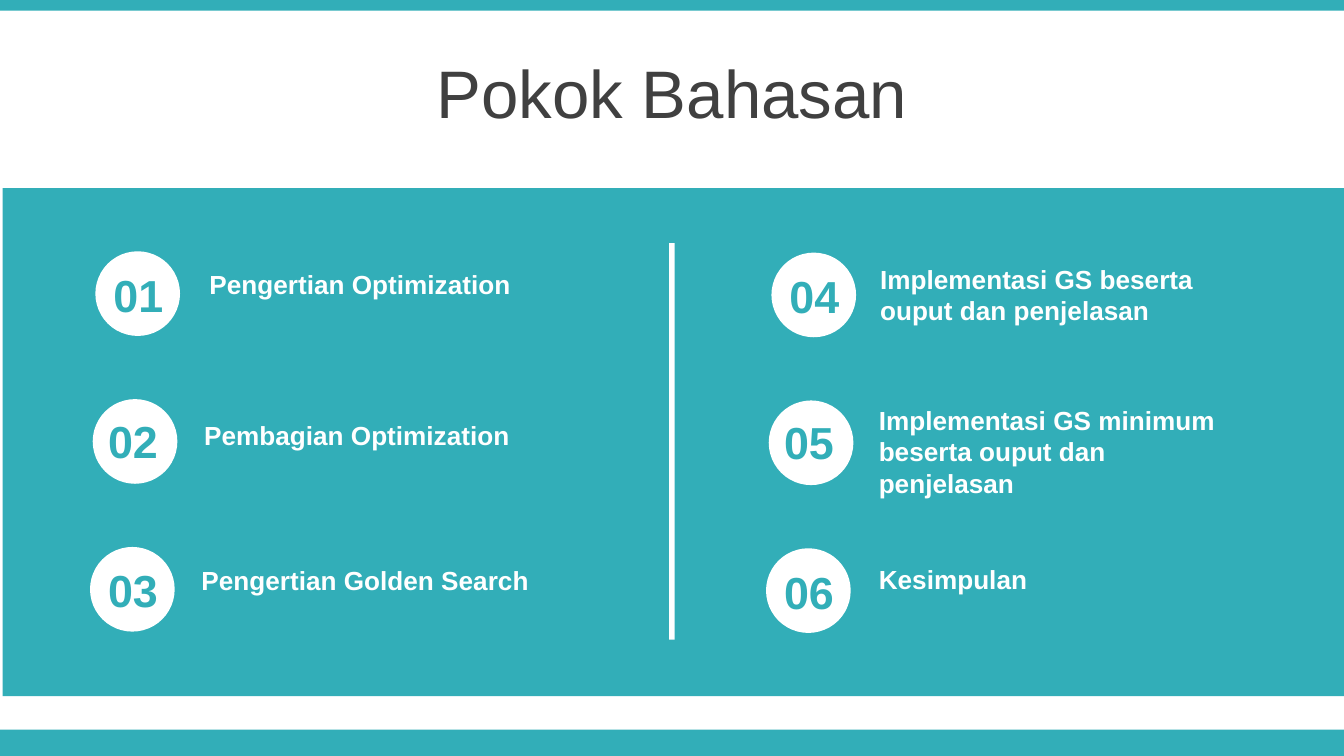
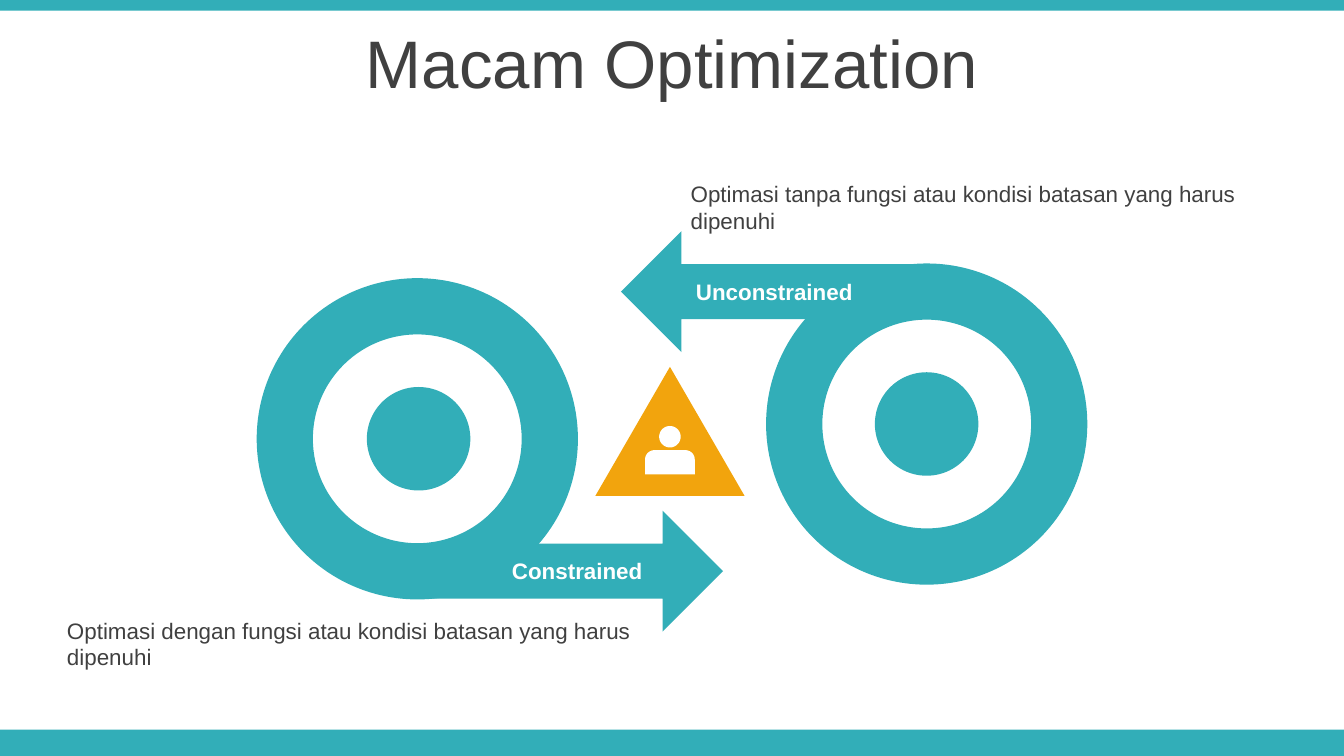
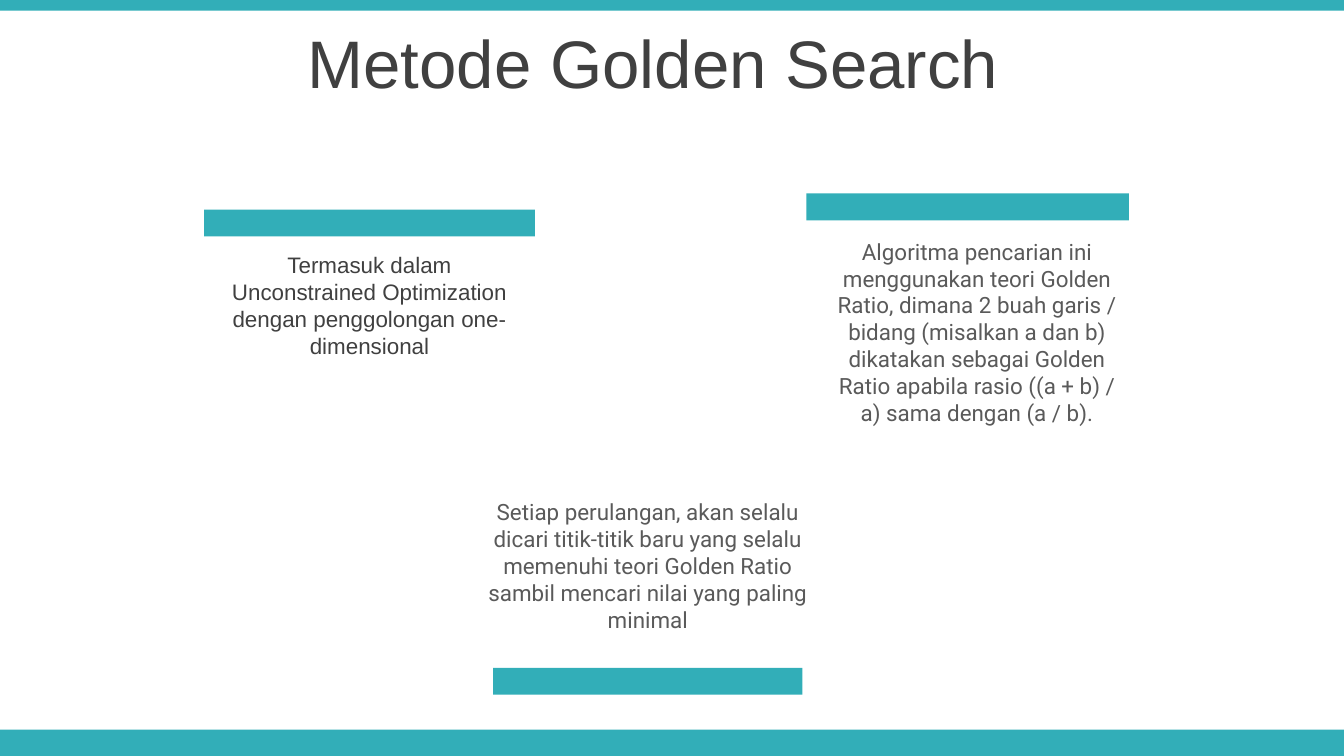
from dataclasses import dataclass
from math import cos, radians, sin

from pptx import Presentation
from pptx.dml.color import RGBColor
from pptx.enum.shapes import MSO_SHAPE
from pptx.enum.text import MSO_ANCHOR, MSO_AUTO_SIZE, PP_ALIGN
from pptx.util import Inches, Pt

RECTANGLE = MSO_SHAPE.RECTANGLE
OVAL = MSO_SHAPE.OVAL
DONUT = MSO_SHAPE.DONUT
RIGHT_ARROW = MSO_SHAPE.RIGHT_ARROW
TRIANGLE = MSO_SHAPE.ISOSCELES_TRIANGLE
LEFT, CENTER, RIGHT = PP_ALIGN.LEFT, PP_ALIGN.CENTER, PP_ALIGN.RIGHT
MIDDLE = MSO_ANCHOR.MIDDLE
FIT_SHAPE, NO_FIT = MSO_AUTO_SIZE.SHAPE_TO_FIT_TEXT, MSO_AUTO_SIZE.NONE

COLORS = {
    "teal": "32AEB8",
    "orange": "F2A40D",
    "white": "FFFFFF",
    "dark": "404040",
    "gray": "5A5A5A",
}
BODY_FONT = "Arial"
CARD_FONT = "Roboto"
TITLE_ONLY = 5


@dataclass(frozen=True)
class Area:
    left: float
    top: float
    width: float
    height: float

    def lengths(self) -> tuple:
        return tuple(Inches(v) for v in (self.left, self.top, self.width, self.height))


@dataclass(frozen=True)
class Style:
    size: float
    color: str
    bold: bool = False
    align: PP_ALIGN = LEFT
    font: str = BODY_FONT


@dataclass(frozen=True)
class Topic:
    text: str
    area: Area


@dataclass(frozen=True)
class Target:
    ring: Area
    arrow: Area
    core: Area
    rotation: int


@dataclass(frozen=True)
class Card:
    text: str
    text_area: Area
    bar: Area
    style: Style


TITLE = Style(36, "dark", align=CENTER)
TOPIC = Style(14, "white", bold=True)
NUMBER = Style(24, "teal", bold=True, align=CENTER)
NOTE = Style(12, "dark")
ARROW_LEFT = Style(12, "white", bold=True)
ARROW_RIGHT = Style(12, "white", bold=True, align=RIGHT)
CARD_DARK = Style(12, "dark", align=CENTER)
CARD_GRAY = Style(12, "gray", align=CENTER, font=CARD_FONT)


# Shared drawing
def paint(shape, color: str) -> None:
    shape.shadow.inherit = False
    shape.fill.solid()
    shape.fill.fore_color.rgb = RGBColor.from_string(COLORS[color])
    shape.line.fill.background()


def add_shape(shapes, kind: MSO_SHAPE, area: Area, color: str,
              adjustments: tuple = (), rotation: float = 0):
    shape = shapes.add_shape(kind, *area.lengths())
    for index, value in enumerate(adjustments):
        shape.adjustments[index] = value
    shape.rotation = rotation
    paint(shape, color)
    return shape


def write(para, text: str, style: Style) -> None:
    para.alignment = style.align
    span = para.add_run()
    span.text = text
    span.font.name = style.font
    span.font.size = Pt(style.size)
    span.font.bold = style.bold
    span.font.color.rgb = RGBColor.from_string(COLORS[style.color])


def add_text(shapes, text: str, area: Area, style: Style) -> None:
    frame = shapes.add_textbox(*area.lengths()).text_frame
    frame.word_wrap = True
    frame.auto_size = FIT_SHAPE
    write(frame.paragraphs[0], text, style)


def add_page(deck, title: str, top: float, right_inset: float = 0.1):
    page = deck.slides.add_slide(deck.slide_layouts[TITLE_ONLY])
    box = page.shapes.title
    box.left, box.top, box.width, box.height = Area(0, top, 10, 0.63).lengths()
    frame = box.text_frame
    frame.auto_size = NO_FIT
    frame.vertical_anchor = MIDDLE
    frame.margin_right = Inches(right_inset)
    para = frame.paragraphs[0]
    para.space_before = Pt(7.2)
    write(para, title, TITLE)
    return page


def add_bands(page) -> None:
    """Draw the edge bands and hand them to the layout, so every slide shows them."""
    layout_tree = page.slide_layout.shapes.element
    for number, area in enumerate((Area(0, 5.43, 10, 0.2), Area(0, 0, 10, 0.08))):
        band = add_shape(page.shapes, RECTANGLE, area, "teal")
        band.element.nvSpPr.cNvPr.set("id", str(100 + number))
        layout_tree.append(band.element)


# Slide 1: numbered topics in two columns
TOPICS = (
    Topic("Pengertian Optimization", Area(1.46, 1.95, 2.91, 0.34)),
    Topic("Pembagian Optimization", Area(1.42, 3.07, 2.91, 0.34)),
    Topic("Pengertian Golden Search", Area(1.4, 4.15, 2.91, 0.34)),
    Topic("Implementasi GS beserta ouput dan penjelasan", Area(6.45, 1.91, 2.91, 0.57)),
    Topic("Implementasi GS minimum beserta ouput dan penjelasan",
          Area(6.44, 2.96, 2.91, 1.04)),
    Topic("Kesimpulan", Area(6.44, 4.14, 2.91, 0.34)),
)
NUMBER_SPOTS = ((0.68, 1.94), (0.64, 3.03), (0.64, 4.14))
COLUMN_STEP = 5.03


def build_topics(deck):
    page = add_page(deck, "Pokok Bahasan", 0.37)
    shapes = page.shapes
    add_shape(shapes, RECTANGLE, Area(0.02, 1.4, 9.98, 3.78), "teal")
    add_shape(shapes, RECTANGLE, Area(4.98, 1.81, 0.04, 2.95), "white")
    for index, topic in enumerate(TOPICS):
        column, row = divmod(index, len(NUMBER_SPOTS))
        shift, drop = COLUMN_STEP * column, 0.01 * column
        disc = Area(0.71 - 0.02 * row + shift, 1.87 + 1.1 * row + drop, 0.63, 0.63)
        left, top = NUMBER_SPOTS[row]
        add_shape(shapes, OVAL, disc, "white")
        add_text(shapes, topic.text, topic.area, TOPIC)
        add_text(shapes, f"{index + 1:02}", Area(left + shift, top + drop, 0.7, 0.5), NUMBER)
    return page


# Slide 2: two targets with arrows around a warning triangle
TARGETS = (
    Target(Area(1.91, 2.07, 2.39, 2.39), Area(3.21, 3.8, 2.17, 0.9),
           Area(2.73, 2.88, 0.77, 0.77), 0),
    Target(Area(5.7, 1.96, 2.39, 2.39), Area(4.62, 1.72, 2.17, 0.9),
           Area(6.51, 2.77, 0.77, 0.77), 180),
)
TARGET_TEXTS = (
    ("Optimasi tanpa fungsi atau kondisi batasan yang harus dipenuhi",
     Area(5.04, 1.29, 4.41, 0.5), NOTE),
    ("Optimasi dengan fungsi atau kondisi batasan yang harus dipenuhi",
     Area(0.4, 4.54, 4.41, 0.5), NOTE),
    ("Constrained", Area(2.32, 4.1, 2.56, 0.3), ARROW_RIGHT),
    ("Unconstrained", Area(5.08, 2.02, 2.56, 0.3), ARROW_LEFT),
)


def arc(x: float, y: float, radius: float, start: int, end: int) -> list:
    """Points of a clockwise arc, one every ten degrees."""
    return [(Inches(x + radius * cos(radians(angle))),
             Inches(y + radius * sin(radians(angle))))
            for angle in range(start, end + 1, 10)]


def add_person(shapes) -> None:
    left, right, top, bottom, corner = 4.8, 5.17, 3.35, 3.53, 0.07
    body = (arc(left + corner, top + corner, corner, 180, 270)
            + arc(right - corner, top + corner, corner, 270, 360)
            + [(Inches(right), Inches(bottom)), (Inches(left), Inches(bottom))])
    head = arc((left + right) / 2, 3.25, 0.08, 0, 350)
    builder = shapes.build_freeform(*body[0])
    builder.add_line_segments(body[1:], close=True)
    builder.move_to(*head[0])
    builder.add_line_segments(head[1:], close=True)
    paint(builder.convert_to_shape(), "white")


def build_kinds(deck) -> None:
    shapes = add_page(deck, "Macam Optimization", 0.14).shapes
    for target in TARGETS:
        group = shapes.add_group_shape().shapes
        add_shape(group, DONUT, target.ring, "teal", (0.175,), target.rotation)
        add_shape(group, RIGHT_ARROW, target.arrow, "teal", (0.455, 0.5), target.rotation)
        add_shape(group, OVAL, target.core, "teal")
    add_shape(shapes, TRIANGLE, Area(4.43, 2.73, 1.11, 0.96), "orange")
    add_person(shapes)
    for text, area, style in TARGET_TEXTS:
        add_text(shapes, text, area, style)


# Slide 3: three cards, each with a bar
CARDS = (
    Card("Setiap perulangan, akan selalu dicari titik-titik baru yang selalu memenuhi "
         "teori Golden Ratio sambil mencari nilai yang paling minimal",
         Area(3.48, 3.66, 2.68, 1.31), Area(3.67, 4.97, 2.3, 0.2), CARD_GRAY),
    Card("Termasuk dalam Unconstrained Optimization dengan penggolongan one-dimensional",
         Area(1.52, 1.82, 2.46, 1.11), Area(1.52, 1.56, 2.46, 0.2), CARD_DARK),
    Card("Algoritma pencarian ini menggunakan teori Golden Ratio, dimana 2 buah garis / "
         "bidang (misalkan a dan b) dikatakan sebagai Golden Ratio apabila rasio "
         "((a + b) / a) sama dengan (a / b).",
         Area(6.07, 1.72, 2.4, 1.92), Area(6, 1.44, 2.4, 0.2), CARD_GRAY),
)


def build_method(deck) -> None:
    page = add_page(deck, "Metode Golden Search", 0.14, right_inset=0.38)
    for card in CARDS:
        group = page.shapes.add_group_shape().shapes
        add_text(group, card.text, card.text_area, card.style)
        add_shape(group, RECTANGLE, card.bar, "teal")


def main() -> None:
    deck = Presentation()
    deck.slide_width = Inches(10)
    deck.slide_height = deck.slide_width * 9 // 16
    add_bands(build_topics(deck))
    build_kinds(deck)
    build_method(deck)
    deck.save("out.pptx")


if __name__ == "__main__":
    main()
